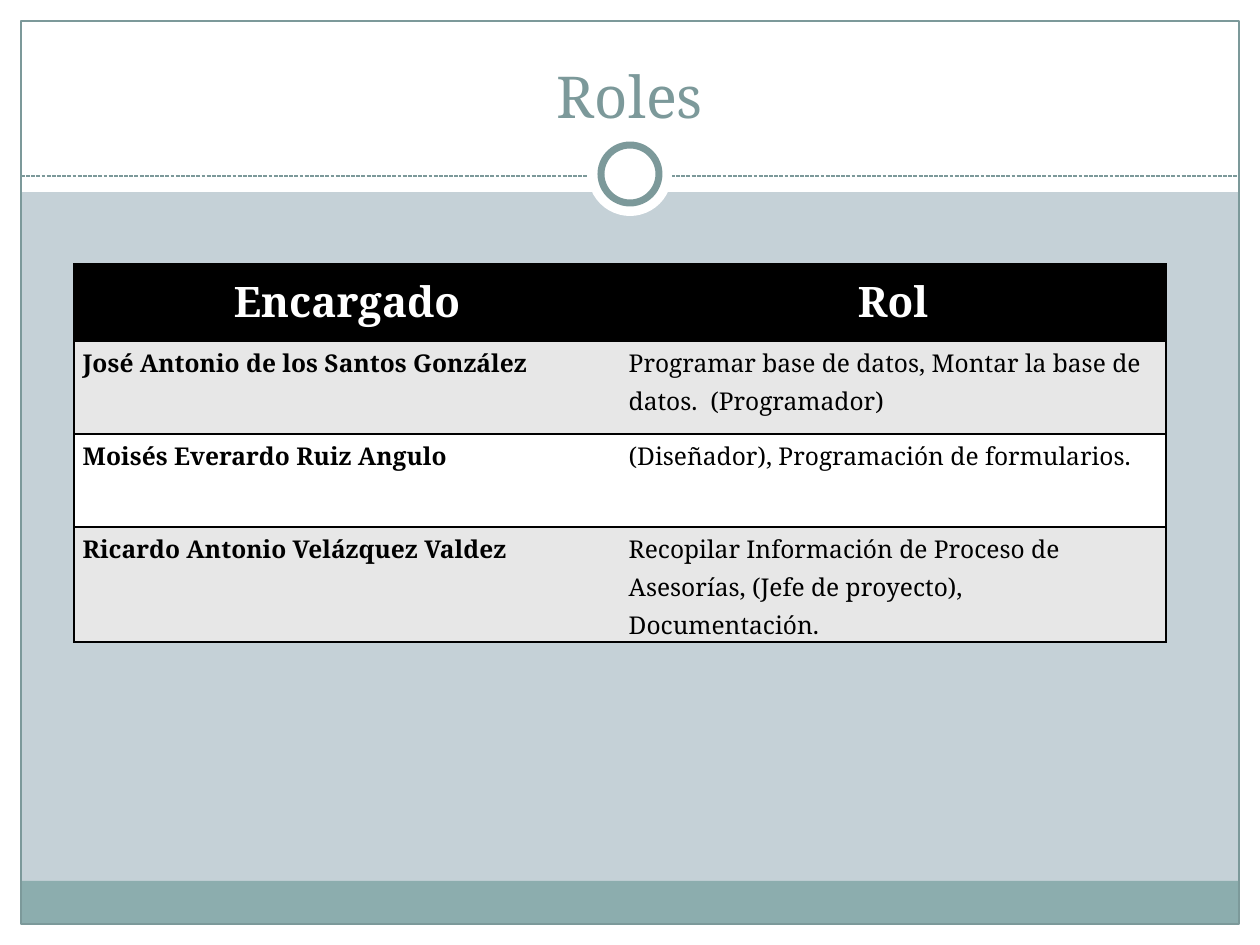
"""Build the Roles slide with its framed background and table of duties."""
from lxml.etree import SubElement
from pptx import Presentation
from pptx.dml.color import RGBColor
from pptx.enum.dml import MSO_LINE
from pptx.enum.shapes import MSO_CONNECTOR, MSO_SHAPE
from pptx.enum.text import MSO_ANCHOR, PP_ALIGN
from pptx.oxml import parse_xml
from pptx.oxml.ns import nsdecls, qn
from pptx.util import Emu, Pt

PIXEL = 914400 // 126
WIDTH, HEIGHT = 1260, 945
FONT = "Noto Serif"
COLORS = {
    "background": "C5D1D7",
    "white": "FFFFFF",
    "black": "000000",
    "band": "E7E7E7",
    "footer": "8CADAE",
    "accent": "7C999A",
}
ROLES = [
    ("Encargado", "Rol"),
    ("José Antonio de los Santos González",
     "Programar base de datos, Montar la base de datos.  (Programador)"),
    ("Moisés Everardo Ruiz Angulo",
     "(Diseñador), Programación de formularios."),
    ("Ricardo Antonio Velázquez Valdez",
     "Recopilar Información de Proceso de Asesorías, (Jefe de proyecto), Documentación."),
]


def pixels(*values):
    return [Emu(value * PIXEL) for value in values]


def color(name):
    return RGBColor.from_string(COLORS[name])


def paint(fill, name):
    fill.solid()
    fill.fore_color.rgb = color(name)


def add_panel(slide, kind, box, fill=None, line=None, line_width=0.75):
    shape = slide.shapes.add_shape(kind, *pixels(*box))
    shape.shadow.inherit = False
    if fill:
        paint(shape.fill, fill)
    else:
        shape.fill.background()
    if line:
        paint(shape.line.fill, line)
        shape.line.width = Pt(line_width)
    else:
        shape.line.fill.background()


def add_dashed_line(slide, left, right, top):
    connector = slide.shapes.add_connector(
        MSO_CONNECTOR.STRAIGHT, *pixels(left, top, right, top))
    paint(connector.line.fill, "accent")
    connector.line.width = Pt(0.75)
    connector.line.dash_style = MSO_LINE.SQUARE_DOT
    SubElement(connector.element.spPr, qn("a:effectLst"))


def format_runs(paragraph, size, name, bold=False):
    for run in paragraph.runs:
        run.font.name = FONT
        run.font.size = Pt(size)
        run.font.bold = bold
        run.font.color.rgb = color(name)


def set_title(slide, text):
    title = slide.shapes.title
    title.left, title.top, title.width, title.height = pixels(42, 31, 1176, 105)
    title.text_frame.text = text
    title.text_frame.vertical_anchor = MSO_ANCHOR.BOTTOM
    paragraph = title.text_frame.paragraphs[0]
    paragraph.alignment = PP_ALIGN.CENTER
    format_runs(paragraph, 33, "accent")
    slide.shapes.element.append(title.element)


def set_borders(cell, visible_sides):
    properties = cell._tc.get_or_add_tcPr()
    for position, side in enumerate("LRTB"):
        if side in visible_sides:
            fill = f'<a:solidFill><a:srgbClr val="{COLORS["black"]}"/></a:solidFill>'
        else:
            fill = "<a:noFill/>"
        border = parse_xml(f'<a:ln{side} {nsdecls("a")} w="12700">{fill}</a:ln{side}>')
        properties.insert(position, border)


def fill_cell(cell, text, row, column):
    header = row == 0
    cell.margin_left = cell.margin_right = Pt(5)
    cell.margin_top = cell.margin_bottom = 0
    cell.text_frame.text = text
    paragraph = cell.text_frame.paragraphs[0]
    paragraph.alignment = PP_ALIGN.CENTER if header else PP_ALIGN.LEFT
    paragraph.line_spacing = 1.15
    paragraph.space_after = Pt(7.5)
    format_runs(paragraph, 24 if header else 14,
                "white" if header else "black", header or column == 0)
    paint(cell.fill, "black" if header else "band" if row % 2 else "white")
    set_borders(cell, "LTB" if column == 0 else "RTB")


def add_roles_table(slide):
    frame = slide.shapes.add_table(len(ROLES), 2, *pixels(74, 264, 1092, 358))
    table = frame.table
    table.first_row = table.horz_banding = False
    for row, texts in enumerate(ROLES):
        table.rows[row].height = pixels(93 if row else 77)[0]
        for column, text in enumerate(texts):
            fill_cell(table.cell(row, column), text, row, column)


def add_frame(slide):
    paint(slide.background.fill, "background")
    rectangle, oval = MSO_SHAPE.RECTANGLE, MSO_SHAPE.OVAL
    margin = 21
    for box in [
        (0, HEIGHT - margin, WIDTH, margin),
        (0, 0, WIDTH, 192),
        (0, 0, margin, HEIGHT),
        (WIDTH - margin, 0, margin, HEIGHT),
    ]:
        add_panel(slide, rectangle, box, "white")
    add_panel(slide, rectangle, (margin, 881, WIDTH - 2 * margin, 43), "footer")
    add_panel(slide, rectangle,
              (margin, margin, WIDTH - 2 * margin, HEIGHT - 2 * margin), line="accent")
    add_dashed_line(slide, margin, WIDTH - margin, 176)
    add_panel(slide, oval, (588, 132, 84, 84), "white")
    add_panel(slide, oval, (601, 145, 58, 58), "white", "accent", 4)


def main():
    presentation = Presentation()
    presentation.slide_width, presentation.slide_height = pixels(WIDTH, HEIGHT)
    slide = presentation.slides.add_slide(presentation.slide_layouts[5])
    add_frame(slide)
    set_title(slide, "Roles")
    add_roles_table(slide)
    presentation.save("out.pptx")


main()
